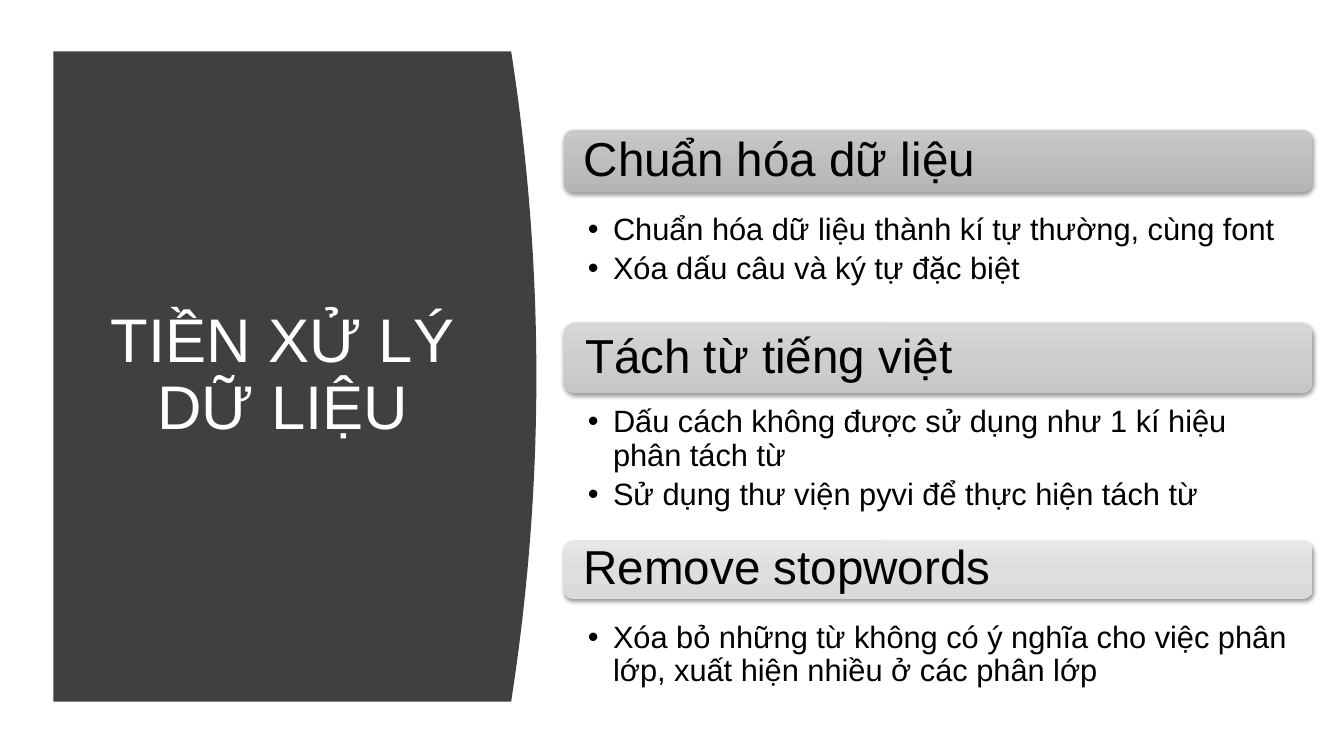
from copy import deepcopy

from lxml import etree
from pptx import Presentation
from pptx.dml.color import RGBColor
from pptx.enum.shapes import MSO_SHAPE as SHAPE
from pptx.enum.text import MSO_ANCHOR as ANCHOR, MSO_AUTO_SIZE as AUTO, PP_ALIGN as ALIGN
from pptx.oxml import parse_xml
from pptx.oxml.ns import nsdecls, qn
from pptx.util import Inches, Pt

FONT = "Arial"
LEFT, WIDTH = 5.59, 7.43
PANEL = {"left": 0.53, "top": 0.51, "edge": 5.07, "bulge": 0.25, "height": 6.45}
SECTIONS = [
    {"title": "Chuẩn hóa dữ liệu", "bar": (1.29, 0.61), "body": (2.09, 0.93),
     "pad": 0.17, "stops": ("C9C9C9", "BEBEBE", "B5B5B5"),
     "points": ["Chuẩn hóa dữ liệu thành kí tự thường, cùng font",
                "Xóa dấu câu và ký tự đặc biệt"]},
    {"title": "Tách từ tiếng việt", "bar": (3.2, 0.7), "body": (4, 1.16),
     "pad": 0.18, "stops": ("D7D7D7", "CECECE", "C7C7C7"),
     "points": ["Dấu cách không được sử dụng như 1 kí hiệu phân tách từ",
                "Sử dụng thư viện pyvi để thực hiện tách từ"]},
    {"title": "Remove stopwords", "bar": (5.36, 0.58), "body": (6.14, 1.03),
     "pad": 0.17, "stops": ("E7E7E7", "DEDEDE", "DADADA"),
     "points": ["Xóa bỏ những từ không có ý nghĩa cho việc phân lớp, "
                "xuất hiện nhiều ở các phân lớp"]},
]


def color(value):
    return RGBColor.from_string(value)


def apply(obj, values):
    for name, value in values.items():
        setattr(obj, name, value)


def set_frame(tf, anchor, left, top, right, bottom):
    apply(tf, {"word_wrap": True, "auto_size": AUTO.NONE, "vertical_anchor": anchor,
               "margin_left": Inches(left), "margin_top": Inches(top),
               "margin_right": Inches(right), "margin_bottom": Inches(bottom)})


def write(p, text, size, ink="000000", align=ALIGN.LEFT, after=0):
    apply(p, {"alignment": align, "line_spacing": 0.9,
              "space_before": Pt(0), "space_after": Pt(after)})
    r = p.add_run()
    r.text = text
    apply(r.font, {"name": FONT, "size": Pt(size)})
    r.font.color.rgb = color(ink)


def add_bullet(p):
    pPr = p._p.get_or_add_pPr()
    pPr.set("marL", str(Inches(0.25)))
    pPr.set("indent", str(-Inches(0.25)))
    etree.SubElement(pPr, qn("a:buFont")).set("typeface", FONT)
    etree.SubElement(pPr, qn("a:buChar")).set("char", "•")


def add_panel(s):
    left, top, edge, bulge, height = PANEL.values()
    steps = 40
    curve = [(edge + bulge * (1 - (2 * i / steps - 1) ** 2), top + height * i / steps)
             for i in range(steps + 1)]
    builder = s.shapes.build_freeform(Inches(left), Inches(top))
    outline = curve + [(left, top + height)]
    builder.add_line_segments([(Inches(x), Inches(y)) for x, y in outline], close=True)
    sp = builder.convert_to_shape()
    sp.shadow.inherit = False
    sp.fill.solid()
    sp.fill.fore_color.rgb = color("404040")
    sp.line.fill.background()


def place_title(s, text):
    sp = s.shapes.title
    s.shapes._spTree.append(sp._element)
    apply(sp, {"left": Inches(0.94), "top": Inches(1.11),
               "width": Inches(3.73), "height": Inches(5.24)})
    set_frame(sp.text_frame, ANCHOR.MIDDLE, 0.1, 0.05, 0.1, 0.05)
    write(sp.text_frame.paragraphs[0], text, 44, "FFFFFF", ALIGN.CENTER)


def fill_gradient(sp, stops):
    sp.fill.gradient()
    sp.fill.gradient_angle = 270
    first = sp.fill.gradient_stops[0]._gs
    first.addnext(deepcopy(first))
    for i, (stop, value) in enumerate(zip(sp.fill.gradient_stops, stops)):
        stop.position = i / 2
        stop.color.rgb = color(value)


def add_shadow(sp):
    sp._element.spPr.append(parse_xml(
        f'<a:effectLst {nsdecls("a")}>'
        f'<a:outerShdw blurRad="{Pt(3.1)}" dist="{Pt(1.6)}" dir="5400000" rotWithShape="0">'
        '<a:srgbClr val="000000"><a:alpha val="38000"/></a:srgbClr>'
        '</a:outerShdw></a:effectLst>'))


def add_bar(s, text, top, height, pad, stops):
    sp = s.shapes.add_shape(SHAPE.ROUNDED_RECTANGLE, Inches(LEFT), Inches(top),
                            Inches(WIDTH), Inches(height))
    sp.adjustments[0] = 0.167
    fill_gradient(sp, stops)
    sp.line.fill.background()
    add_shadow(sp)
    set_frame(sp.text_frame, ANCHOR.MIDDLE, pad, pad, 0.14, pad)
    write(sp.text_frame.paragraphs[0], text, 34, after=11.9)


def add_points(s, points, top, height):
    tf = s.shapes.add_textbox(Inches(LEFT), Inches(top),
                              Inches(WIDTH), Inches(height)).text_frame
    set_frame(tf, ANCHOR.TOP, 0.24, 0.03, 0.17, 0.03)
    for i, text in enumerate(points):
        p = tf.add_paragraph() if i else tf.paragraphs[0]
        p.level = 1
        write(p, text, 22, after=4.4)
        add_bullet(p)


def main():
    prs = Presentation()
    apply(prs, {"slide_width": Inches(13.33), "slide_height": Inches(7.5)})
    s = prs.slides.add_slide(prs.slide_layouts[5])
    add_panel(s)
    place_title(s, "TIỀN XỬ LÝ DỮ LIỆU")
    for section in SECTIONS:
        add_bar(s, section["title"], *section["bar"], section["pad"], section["stops"])
        add_points(s, section["points"], *section["body"])
    prs.save("out.pptx")


if __name__ == "__main__":
    main()
